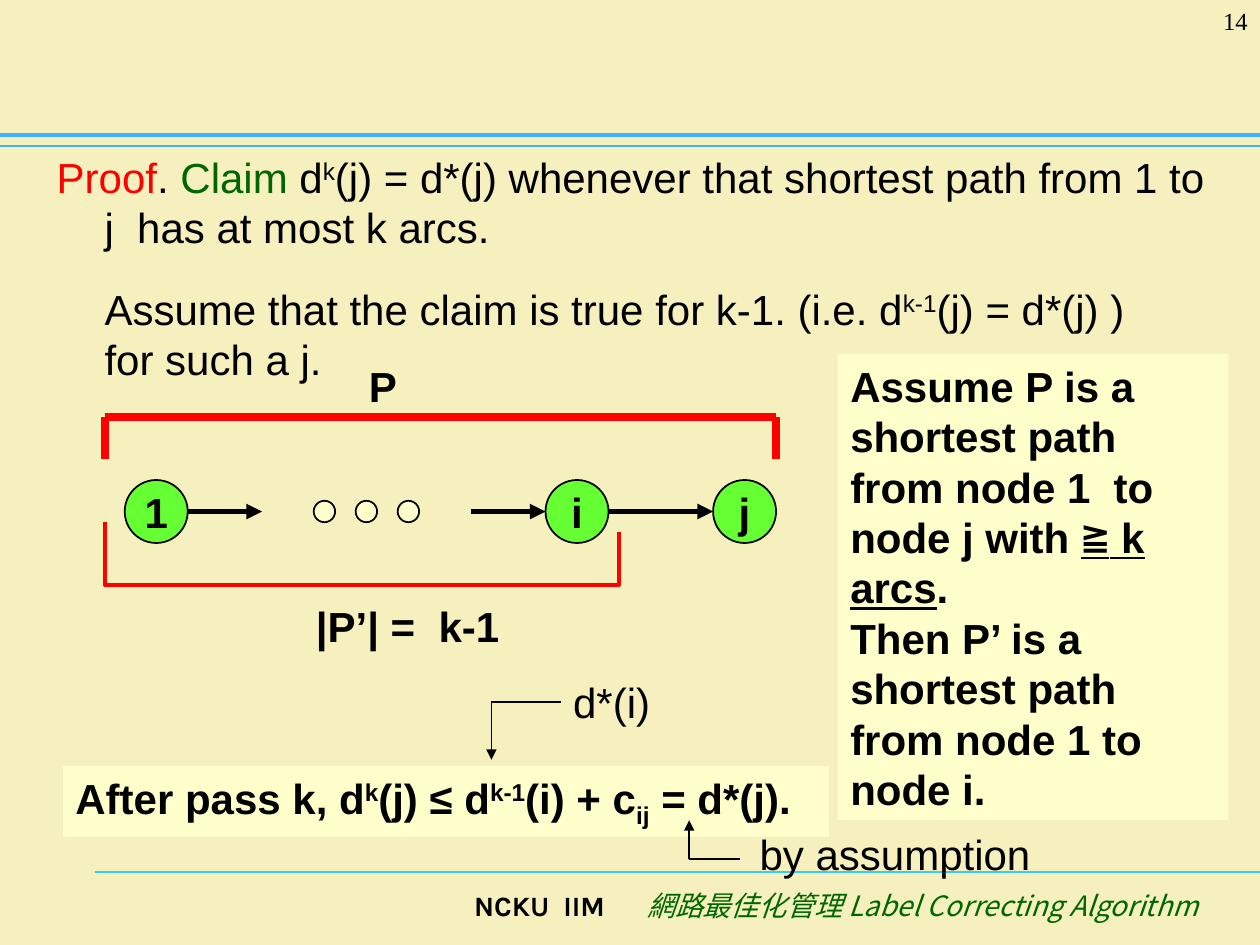
import pptx
import pptx.util
import pptx.dml.color
import pptx.enum.shapes
import pptx.enum.text
import pptx.oxml.ns
from lxml import etree

Inches, Pt = pptx.util.Inches, pptx.util.Pt
qn = pptx.oxml.ns.qn
ALIGN = pptx.enum.text.PP_ALIGN
SHAPE = pptx.enum.shapes.MSO_SHAPE
COLORS = {
    "background": "F5F0BD", "teal": "33CCFF", "blue": "3DB0FF", "black": "000000",
    "red": "FF0000", "green": "006600", "node": "66FF33", "cream": "FFFFCC",
}
RGB = {name: pptx.dml.color.RGBColor.from_string(value) for name, value in COLORS.items()}


def write(paragraph, text, size=24, font="Arial", color="black", bold=False,
          italic=False, underline=False, baseline=0):
    """Add text to a paragraph; each newline becomes a line break."""
    for index, line in enumerate(text.split("\n")):
        if index:
            paragraph.add_line_break()
        run = paragraph.add_run()
        run.text = line
        run.font.size, run.font.bold, run.font.italic = Pt(size), bold, italic
        run.font.underline = underline
        run.font.color.rgb = RGB[color]
        run.font.name = font
        properties = run.font._element
        etree.SubElement(properties, qn("a:ea")).set("typeface", font)
        if baseline:
            properties.set("baseline", str(baseline * 1000))


def add_line(start, end, color, width, arrow=False):
    """Draw a straight line without shadow, with an optional arrowhead at its end."""
    line = slide.shapes.add_connector(
        pptx.enum.shapes.MSO_CONNECTOR.STRAIGHT,
        Inches(start[0]), Inches(start[1]), Inches(end[0]), Inches(end[1]))
    line.line.color.rgb = RGB[color]
    line.line.width = Pt(width)
    if arrow:
        etree.SubElement(line.line._get_or_add_ln(), qn("a:tailEnd")).set("type", "triangle")
    etree.SubElement(line._element.spPr, qn("a:effectLst"))
    return line


presentation = pptx.Presentation()
presentation.slide_width, presentation.slide_height = Inches(10), Inches(7.5)
slide = presentation.slides.add_slide(presentation.slide_layouts[1])
slide.background.fill.solid()
slide.background.fill.fore_color.rgb = RGB["background"]
title = slide.shapes.title._element
title.getparent().remove(title)

# Rules of the page
add_line((0.75, 6.92), (10, 6.92), "teal", 0.75)
add_line((0, 1.16), (10, 1.16), "blue", 0.75)
add_line((0, 1.07), (10, 1.07), "blue", 2.5)

# Claim and induction hypothesis
body = slide.placeholders[1]
body.left, body.top, body.width, body.height = map(Inches, (0.35, 1.15, 9.42, 2.08))
body.text_frame.auto_size = pptx.enum.text.MSO_AUTO_SIZE.NONE
claim = body.text_frame.paragraphs[0]
hypothesis = body.text_frame.add_paragraph()
for paragraph, indent, before in ((claim, -0.38, 0), (hypothesis, 0, 6)):
    properties = paragraph._p.get_or_add_pPr()
    properties.set("marL", str(Inches(0.38)))
    properties.set("indent", str(Inches(indent)))
    etree.SubElement(properties, qn("a:buNone"))
    paragraph.space_before, paragraph.space_after = Pt(before), Pt(12)
    paragraph.line_spacing = Pt(28.8)
write(claim, "Proof", color="red")
write(claim, ". ")
write(claim, "Claim", color="green")
write(claim, " d")
write(claim, "k", baseline=30)
write(claim, "(j) = d*(j) whenever that shortest path from 1 to j  has at most k arcs.")
write(hypothesis, "Assume that the claim is true for k-1. (i.e. d")
write(hypothesis, "k-1", baseline=30)
write(hypothesis, "(j) = d*(j) )\nfor such a j.")

# Nodes of the path, and the dots for those left out
NODE, DOT, AXIS = 0.5, 0.17, 4.06
circles = [(1.24, NODE, "node", "1"), (4.58, NODE, "node", "i"), (5.91, NODE, "node", "j")]
circles += [(2.575 + index / 3, DOT, "cream", "") for index in range(3)]
for center, diameter, color, label in circles:
    circle = slide.shapes.add_shape(
        SHAPE.OVAL, Inches(center - diameter / 2), Inches(AXIS - diameter / 2),
        Inches(diameter), Inches(diameter))
    circle.shadow.inherit = False
    circle.fill.solid()
    circle.fill.fore_color.rgb = RGB[color]
    circle.line.color.rgb = RGB["black"]
    circle.line.width = Pt(1)
    if label:
        circle.text_frame.word_wrap = False
        paragraph = circle.text_frame.paragraphs[0]
        paragraph.alignment = ALIGN.CENTER
        write(paragraph, label, bold=True)

# Arcs
for start, end in ((1.49, 2.08), (3.74, 4.33), (4.83, 5.66)):
    add_line((start, AXIS), (end, AXIS), "black", 3, arrow=True)

# Bracket over P
corners = [(0.83, 3.64), (0.83, 3.31), (6.16, 3.31), (6.16, 3.64)]
for start, end in zip(corners, corners[1:]):
    add_line(start, end, "red", 4.5)

# Bracket under P'
builder = slide.shapes.build_freeform(Inches(0.83), Inches(4.14))
builder.add_line_segments(
    [(Inches(x), Inches(y)) for x, y in ((0.83, 4.64), (4.91, 4.64), (4.91, 4.22))],
    close=False)
bracket = builder.convert_to_shape()
bracket.shadow.inherit = False
bracket.fill.background()
bracket.line.color.rgb = RGB["red"]
bracket.line.width = Pt(2.25)

# Texts: place, fill, alignment, wrap, runs
bold = {"bold": True}
upper = {"bold": True, "baseline": 30}
lower = {"bold": True, "baseline": -25}
texts = {
    "sub-path": ((2.41, 4.72, 2, 0.5), None, ALIGN.LEFT, True, [("|P’| =  k-1", bold)]),
    "path": ((2.83, 2.81, 0.75, 0.5), None, ALIGN.LEFT, True, [("P", bold)]),
    "result": ((0.5, 6.08, 6.08, 0.56), "cream", ALIGN.LEFT, True, [
        ("After pass k, d", bold), ("k", upper), ("(j) ≤ d", bold), ("k-1", upper),
        ("(i) + c", bold), ("ij", lower), (" = d*(j).", bold)]),
    "argument": ((6.65, 2.81, 3.1, 3.7), "cream", ALIGN.LEFT, True, [
        ("Assume P is a shortest path from node 1  to node j with ", bold),
        ("≧", {"bold": True, "underline": True, "font": "Times New Roman"}),
        (" k arcs", {"bold": True, "underline": True}),
        (".\nThen P’ is a shortest path from node 1 to node i.", bold)]),
    "distance": ((4.45, 5.32, 0.81, 0.5), None, ALIGN.LEFT, False, [("d*(i)", {})]),
    "reason": ((5.93, 6.53, 2.35, 0.5), None, ALIGN.LEFT, False, [("by assumption", {})]),
    "institute": ((2.9, 7, 2, 0.5), None, ALIGN.RIGHT, True, [
        ("NCKU  IIM", {"size": 16, "font": "Karla", "bold": True})]),
    "course": ((4.9, 7, 4.71, 0.5), None, ALIGN.RIGHT, True, [
        ("網路最佳化管理 Label Correcting Algorithm",
         {"size": 16, "font": "Noto Sans CJK SC", "color": "green", "italic": True})]),
    "page": ((9.17, 0, 0.83, 0.5), None, ALIGN.RIGHT, True, [
        ("14", {"size": 14, "font": "Times New Roman"})]),
}
boxes = {}
for name, (place, fill, alignment, wrap, runs) in texts.items():
    box = boxes[name] = slide.shapes.add_textbox(*map(Inches, place))
    if fill:
        box.fill.solid()
        box.fill.fore_color.rgb = RGB[fill]
    box.text_frame.word_wrap = wrap
    paragraph = box.text_frame.paragraphs[0]
    paragraph.alignment = alignment
    if name == "argument":
        paragraph.line_spacing = Pt(28.8)
    for text, style in runs:
        write(paragraph, text, **style)

# Pointers into the result
pointer = add_line((4.45, 5.57), (3.9, 5.57), "black", 1)
pointer.begin_connect(boxes["distance"], 1)
add_line((3.9, 5.57), (3.9, 6.03), "black", 1, arrow=True)
add_line((5.87, 6.82), (5.47, 6.82), "black", 1)
add_line((5.47, 6.82), (5.47, 6.51), "black", 1, arrow=True)

presentation.save("out.pptx")
